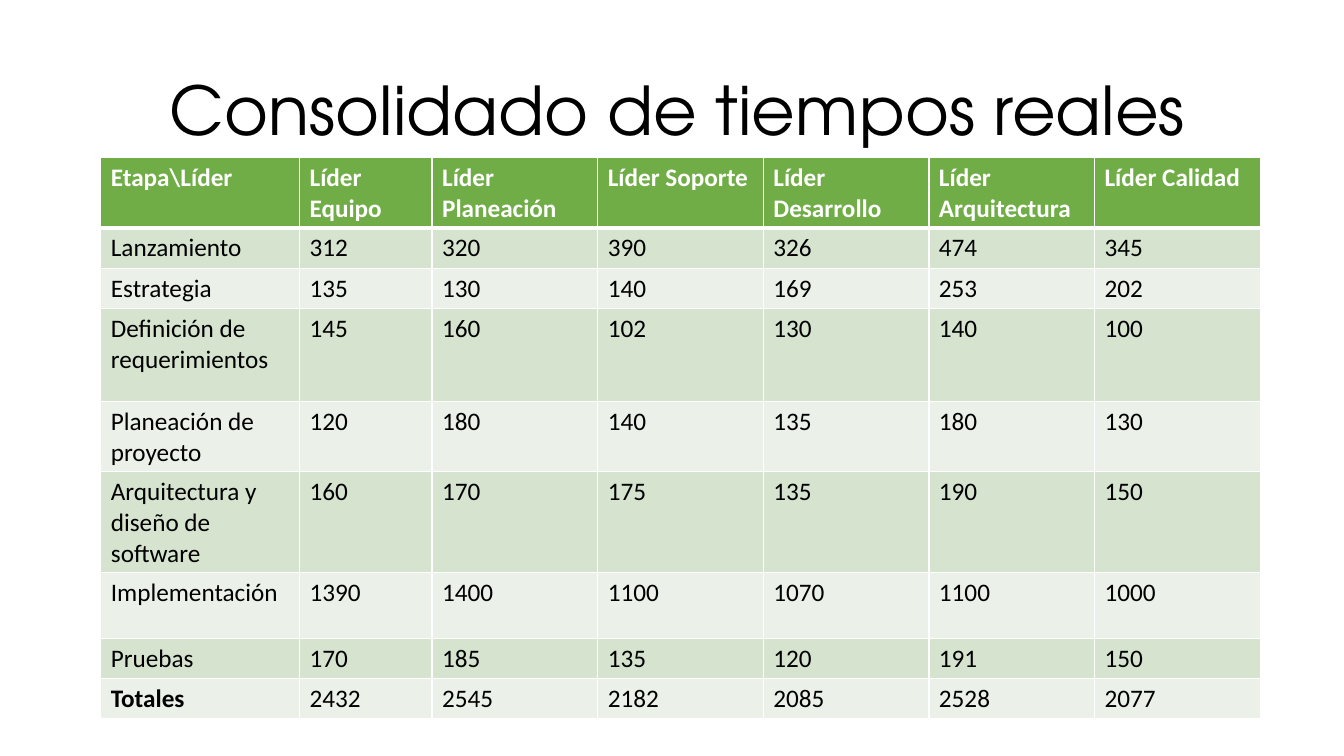
from lxml.etree import SubElement
from pptx import Presentation
from pptx.dml.color import RGBColor
from pptx.enum.text import MSO_ANCHOR, PP_ALIGN
from pptx.oxml.ns import qn
from pptx.util import Inches, Pt

SLIDE_WIDTH, SLIDE_HEIGHT = 13.33, 7.5
TABLE_LEFT, TABLE_TOP, TABLE_WIDTH = 1, 1.56, 11.5
COLUMN_SHARES = [6, 4, 5, 5, 5, 5, 5]
ROW_HEIGHTS = [0.7, 0.4, 0.4, 0.92, 0.7, 1, 0.65, 0.4, 0.4]

BLACK, WHITE = "000000", "FFFFFF"
HEADER_GREEN = "70AD47"
BAND_GREENS = ["D5E3CF", "EBF1E9"]

LEADERS = ["Líder Equipo", "Líder Planeación", "Líder Soporte",
           "Líder Desarrollo", "Líder Arquitectura", "Líder Calidad"]
STAGE_TIMES = {
    "Lanzamiento": [312, 320, 390, 326, 474, 345],
    "Estrategia": [135, 130, 140, 169, 253, 202],
    "Definición de requerimientos": [145, 160, 102, 130, 140, 100],
    "Planeación de proyecto": [120, 180, 140, 135, 180, 130],
    "Arquitectura y diseño de software": [160, 170, 175, 135, 190, 150],
    "Implementación": [1390, 1400, 1100, 1070, 1100, 1000],
    "Pruebas": [170, 185, 135, 120, 191, 150],
}


def color(hex_code):
    return RGBColor.from_string(hex_code)


def style_font(font, name, size, hex_code, bold=False):
    font.name, font.size, font.bold = name, Pt(size), bold
    font.color.rgb = color(hex_code)


def add_title(slide, text):
    title = slide.shapes.add_textbox(Inches(1.3), Inches(0.4),
                                     Inches(10.84), Inches(1.45))
    frame = title.text_frame
    frame.word_wrap = True
    frame.vertical_anchor = MSO_ANCHOR.MIDDLE
    heading = frame.paragraphs[0]
    heading.text = text
    heading.alignment = PP_ALIGN.CENTER
    heading.line_spacing = 0.9
    style_font(heading.font, "TeX Gyre Adventor", 48, BLACK)


def set_borders(cell, top, bottom):
    """Draw white cell borders; top and bottom are widths in points."""
    properties = cell._tc.get_or_add_tcPr()
    for side, width in {"L": 1, "R": 1, "T": top, "B": bottom}.items():
        line = SubElement(properties, qn(f"a:ln{side}"), w=str(Pt(width)))
        fill = SubElement(line, qn("a:solidFill"))
        SubElement(fill, qn("a:srgbClr"), val=WHITE)


def fill_cell(cell, value, row, bold):
    header = row == 0
    set_borders(cell, top=3 if row == 1 else 1, bottom=3 if header else 1)
    cell.fill.solid()
    cell.fill.fore_color.rgb = color(
        HEADER_GREEN if header else BAND_GREENS[(row - 1) % 2])
    cell.text = str(value)
    style_font(cell.text_frame.paragraphs[0].font, "Calibri", 18,
               WHITE if header else BLACK, bold)


def add_times_table(slide, rows):
    table = slide.shapes.add_table(
        len(rows), len(COLUMN_SHARES), Inches(TABLE_LEFT), Inches(TABLE_TOP),
        Inches(TABLE_WIDTH), Inches(sum(ROW_HEIGHTS))).table
    for column, share in zip(table.columns, COLUMN_SHARES):
        column.width = Inches(TABLE_WIDTH * share / sum(COLUMN_SHARES))
    for table_row, height in zip(table.rows, ROW_HEIGHTS):
        table_row.height = Inches(height)
    for r, values in enumerate(rows):
        for c, value in enumerate(values):
            totals_label = r == len(rows) - 1 and c == 0
            fill_cell(table.cell(r, c), value, r, bold=r == 0 or totals_label)


def main():
    presentation = Presentation()
    presentation.slide_width = Inches(SLIDE_WIDTH)
    presentation.slide_height = Inches(SLIDE_HEIGHT)
    slide = presentation.slides.add_slide(presentation.slide_layouts[6])

    # Heading
    add_title(slide, "Consolidado de tiempos reales")

    # Times per stage and leader, with column totals
    totals = [sum(times) for times in zip(*STAGE_TIMES.values())]
    stages = [[stage, *times] for stage, times in STAGE_TIMES.items()]
    add_times_table(slide, [["Etapa\\Líder", *LEADERS], *stages,
                            ["Totales", *totals]])

    presentation.save("out.pptx")


main()
